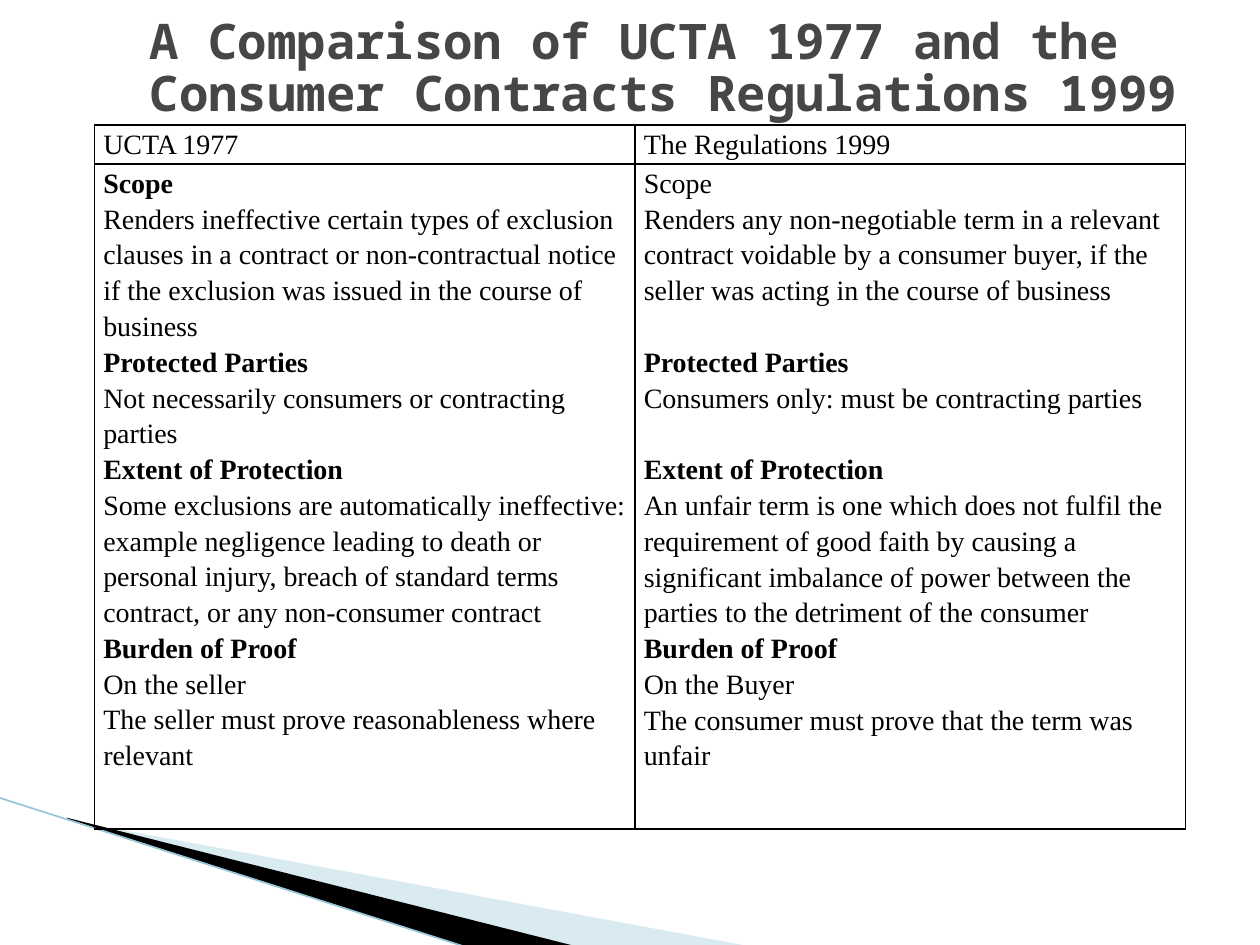
from lxml import etree
from pptx import Presentation
from pptx.dml.color import RGBColor
from pptx.enum.shapes import MSO_CONNECTOR
from pptx.enum.text import MSO_ANCHOR, PP_ALIGN
from pptx.oxml.ns import qn
from pptx.util import Inches, Pt

STRAIGHT = MSO_CONNECTOR.STRAIGHT
MIDDLE, TOP = MSO_ANCHOR.MIDDLE, MSO_ANCHOR.TOP
LEFT = PP_ALIGN.LEFT
BLACK = RGBColor(0x00, 0x00, 0x00)
GREY = RGBColor(0x46, 0x46, 0x46)
PALE = RGBColor(0xA0, 0xCB, 0xDC)
BLUE = RGBColor(0x97, 0xC5, 0xD8)
LINE_GAP = Pt(20.5)

HEADS = ["UCTA 1977", "The Regulations 1999"]
# Each entry: text, bold, one line of space before
ACT = [
    ("Scope", True, False),
    ("Renders ineffective certain types of exclusion clauses in a contract or "
     "non-contractual notice if the exclusion was issued in the course of business", False, False),
    ("Protected Parties", True, False),
    ("Not necessarily consumers or contracting parties", False, False),
    ("Extent of Protection", True, False),
    ("Some exclusions are automatically ineffective: example negligence leading to death or "
     "personal injury, breach of standard terms contract, or any non-consumer contract", False, False),
    ("Burden of Proof", True, False),
    ("On the seller", False, False),
    ("The seller must prove reasonableness where relevant", False, False),
]
RULES = [
    ("Scope", False, False),
    ("Renders any non-negotiable term in a relevant contract voidable by a consumer buyer, "
     "if the seller was acting in the course of business", False, False),
    ("Protected Parties", True, True),
    ("Consumers only: must be contracting parties", False, False),
    ("Extent of Protection", True, True),
    ("An unfair term is one which does not fulfil the requirement of good faith by causing a "
     "significant imbalance of power between the parties to the detriment of the consumer", False, False),
    ("Burden of Proof", True, False),
    ("On the Buyer", False, False),
    ("The consumer must prove that the term was unfair", False, False),
]


def add_wedge(points, color):
    pen = slide.shapes.build_freeform(
        Inches(points[0][0]), Inches(points[0][1]), scale=1.0)
    pen.add_line_segments([(Inches(x), Inches(y)) for x, y in points[1:]])
    wedge = pen.convert_to_shape()
    wedge.shadow.inherit = False
    wedge.fill.solid()
    wedge.fill.fore_color.rgb = color
    wedge.line.fill.background()
    return wedge


def fill_cell(cell, items):
    cell.fill.background()
    cell.vertical_anchor = TOP
    cell.margin_left = cell.margin_right = Inches(0.07)
    cell.margin_top = cell.margin_bottom = 0
    frame = cell.text_frame
    for i, (text, bold, gap) in enumerate(items):
        para = frame.add_paragraph() if i else frame.paragraphs[0]
        para.text = text
        para.line_spacing = 1.15
        if gap:
            para.space_before = LINE_GAP
        font = para.runs[0].font
        font.name, font.size, font.bold = "Times New Roman", Pt(16), bold
        font.color.rgb = BLACK
    # Borders come before the fill in the cell properties
    props = cell._tc.get_or_add_tcPr()
    for i, side in enumerate(("lnL", "lnR", "lnT", "lnB")):
        edge = etree.Element(qn("a:" + side), w=str(Pt(1)))
        paint = etree.SubElement(edge, qn("a:solidFill"))
        etree.SubElement(paint, qn("a:srgbClr"), val=str(BLACK))
        props.insert(i, edge)


prs = Presentation()
prs.slide_width, prs.slide_height = Inches(10), Inches(7.5)
slide = prs.slides.add_slide(prs.slide_layouts[5])

# Corner wedges
pale = add_wedge([(0.55, 6.51), (5.95, 7.51), (4.56, 7.51), (0.55, 6.5)], PALE)
tint = pale.fill._xPr.find(qn("a:solidFill"))[0]
etree.SubElement(tint, qn("a:alpha"), val="40000")
add_wedge([(0.53, 6.49), (4.57, 7.51), (3.72, 7.52), (0.54, 6.5)], BLACK)
edge = slide.shapes.add_connector(
    STRAIGHT, Inches(-0.01), Inches(6.33), Inches(3.71), Inches(7.52))
edge.line.color.rgb = BLUE
edge.line.width = Pt(0.95)
etree.SubElement(edge._element.spPr, qn("a:effectLst"))

# Title
title = slide.shapes.title
title.left, title.top = Inches(1.09), Inches(-0.03)
title.width, title.height = Inches(8.91), Inches(1.17)
frame = title.text_frame
frame.text = "A Comparison of UCTA 1977 and the Consumer Contracts Regulations 1999"
frame.word_wrap = True
frame.vertical_anchor = MIDDLE
para = frame.paragraphs[0]
para.alignment = LEFT
para.line_spacing = 0.88
font = para.runs[0].font
font.name, font.size, font.bold = "Noto Sans Mono", Pt(28), True
font.color.rgb = GREY

# Comparison table
table = slide.shapes.add_table(
    2, 2, Inches(0.75), Inches(0.99), Inches(8.66), Inches(5.59)).table
table.first_row = table.horz_banding = False
for col, width in zip(table.columns, (4.29, 4.37)):
    col.width = Inches(width)
for row, height in zip(table.rows, (0.31, 5.28)):
    row.height = Inches(height)
for i, (head, items) in enumerate(zip(HEADS, (ACT, RULES))):
    fill_cell(table.cell(0, i), [(head, False, False)])
    fill_cell(table.cell(1, i), items)

prs.save("out.pptx")
